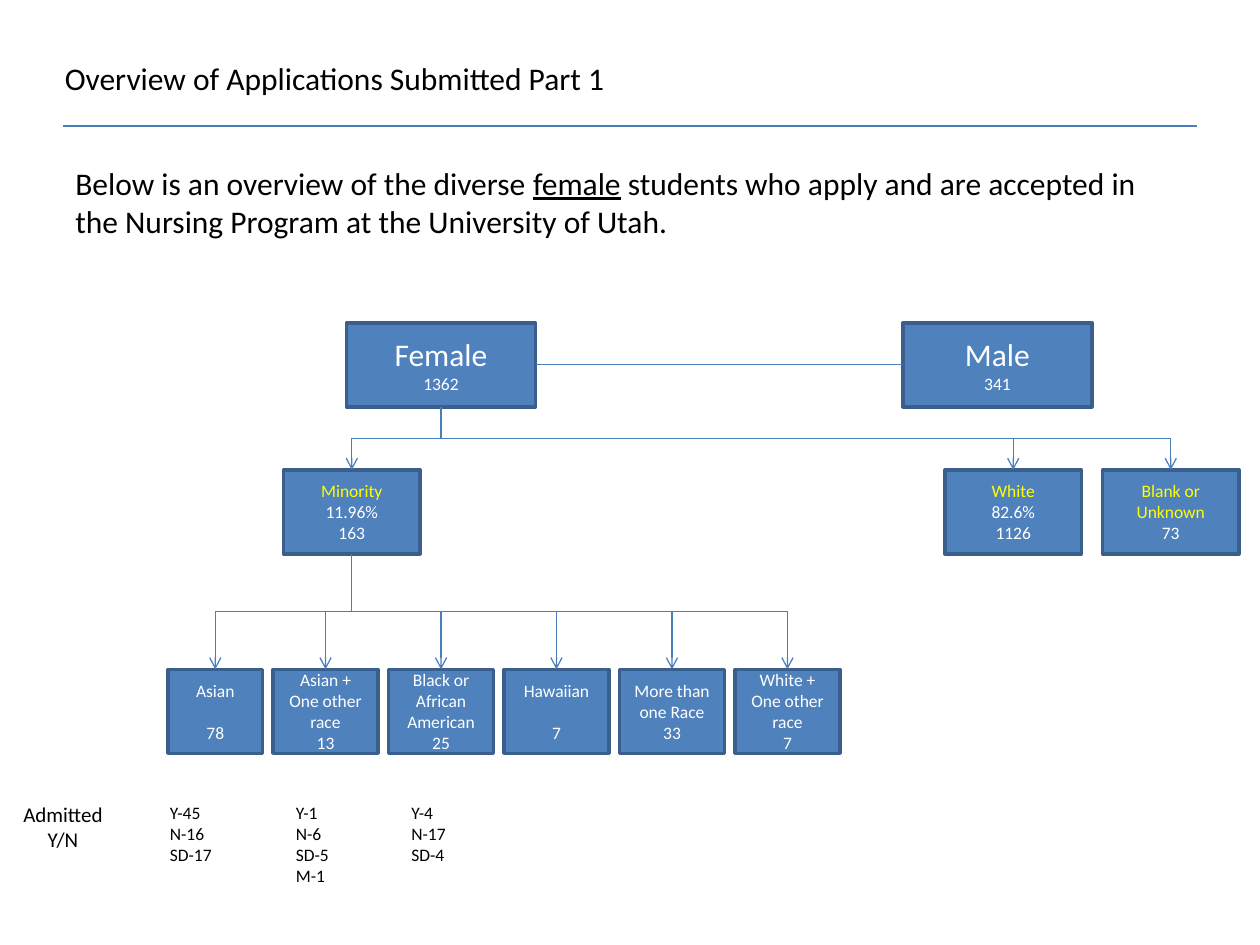
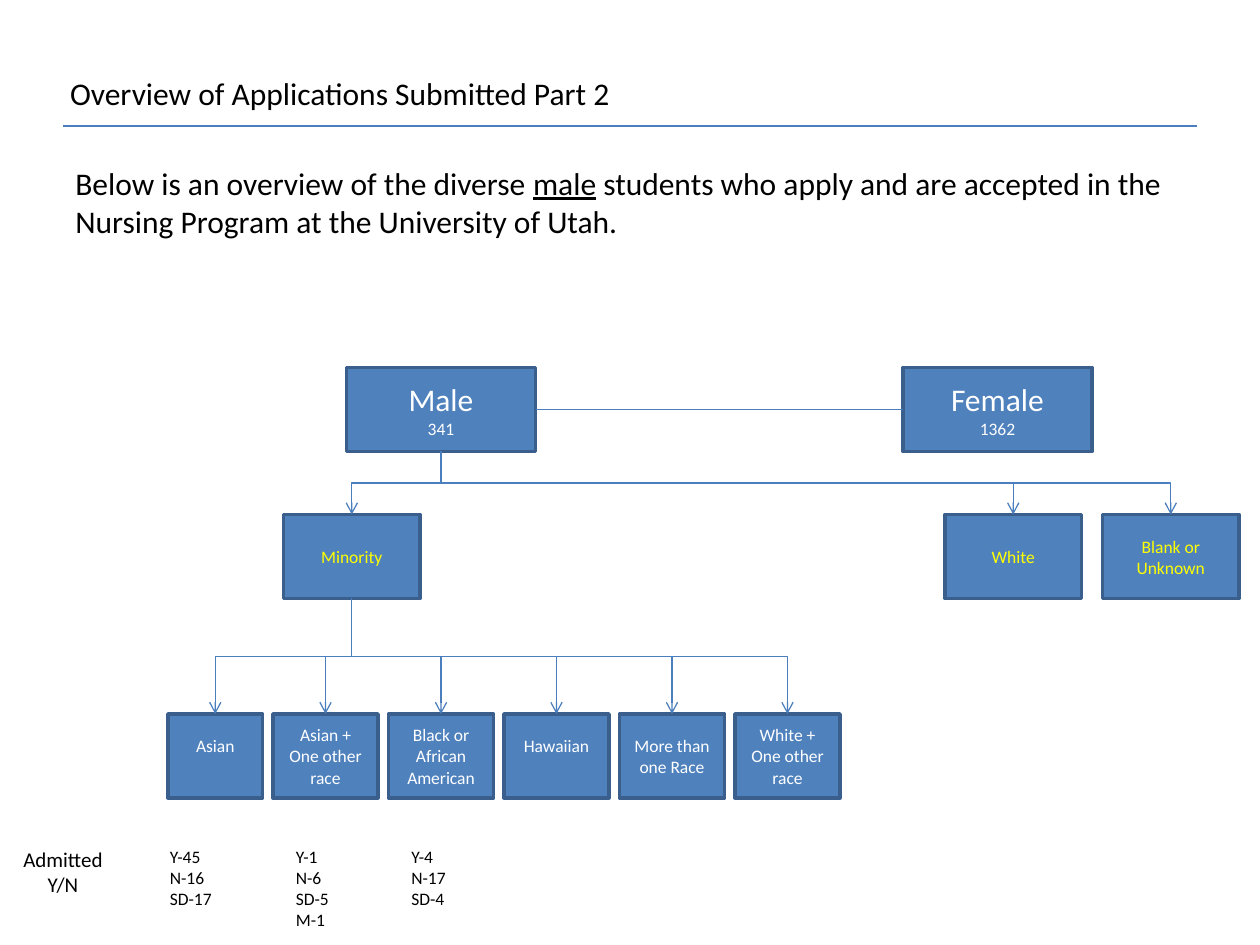
"""Build two slides that chart nursing applications by gender and race."""
from lxml.etree import SubElement
from pptx import Presentation
from pptx.dml.color import RGBColor
from pptx.enum.shapes import MSO_CONNECTOR, MSO_SHAPE
from pptx.enum.text import MSO_ANCHOR, MSO_AUTO_SIZE, PP_ALIGN
from pptx.oxml.ns import qn
from pptx.util import Pt

colour = RGBColor.from_string
BOX_FILL, BOX_EDGE, LINK = "4F81BD", "3A5F8C", "4B7EBC"
WHITE, YELLOW, BLACK = "FFFFFF", "FFFF00", "000000"
BOX_HEIGHT = 48
TOP_SITE, LEFT_SITE, BOTTOM_SITE, RIGHT_SITE = range(4)

LARGE = {"name": "Calibri", "size": Pt(18)}
MEDIUM = {"name": "Calibri", "size": Pt(12)}
SMALL = {"name": "Calibri", "size": Pt(10)}
LABEL_FRAME = {"word_wrap": True, "auto_size": MSO_AUTO_SIZE.SHAPE_TO_FIT_TEXT}
BOX_FRAME = {"word_wrap": True, "vertical_anchor": MSO_ANCHOR.MIDDLE}

GENDER_LEFTS = [198, 516]
GROUPS = [("Minority", 162), ("White", 540), ("Blank or Unknown", 630)]
RACES = ["Asian", "Asian + One other race", "Black or African American",
         "Hawaiian", "More than one Race", "White + One other race"]
ONE_LINE_RACES = ["Asian", "Hawaiian"]
ADMISSIONS = [(90, ["Y-45", "N-16", "SD-17"]),
              (162, ["Y-1", "N-6", "SD-5", "M-1"]),
              (228, ["Y-4", "N-17", "SD-4"])]

PARTS = [
    {"title": "Overview of Applications Submitted Part 1", "title_at": (30, 30),
     "subject": "female", "tree_top": 184.5,
     "genders": [("Female", "1362"), ("Male", "341")],
     "group_counts": [["11.96%", "163"], ["82.6%", "1126"], ["73"]],
     "race_counts": [["78"], ["13"], ["25"], ["7"], ["33"], ["7"]]},
    {"title": "Overview of Applications Submitted Part 2", "title_at": (33, 39),
     "subject": "male", "tree_top": 210,
     "genders": [("Male", "341"), ("Female", "1362")],
     "group_counts": [[]] * len(GROUPS),
     "race_counts": [[]] * len(RACES)},
]


def write(shape, lines, frame_format, align=PP_ALIGN.LEFT):
    for key, value in frame_format.items():
        setattr(shape.text_frame, key, value)
    for number, runs in enumerate(lines):
        frame = shape.text_frame
        paragraph = frame.add_paragraph() if number else frame.paragraphs[0]
        paragraph.alignment = align
        for text, text_colour, font_format in runs:
            run = paragraph.add_run()
            run.text = text
            run.font.color.rgb = colour(text_colour)
            for key, value in font_format.items():
                setattr(run.font, key, value)


def add_box(slide, left, top, width, lines):
    box = slide.shapes.add_shape(MSO_SHAPE.RECTANGLE, Pt(left), Pt(top),
                                 Pt(width), Pt(BOX_HEIGHT))
    box.shadow.inherit = False
    box.fill.solid()
    box.fill.fore_color.rgb = colour(BOX_FILL)
    box.line.color.rgb = colour(BOX_EDGE)
    box.line.width = Pt(2)
    write(box, [[line] for line in lines], BOX_FRAME, PP_ALIGN.CENTER)
    return box


deck = Presentation()
deck.slide_width, deck.slide_height = Pt(720), Pt(540)

for part in PARTS:
    slide = deck.slides.add_slide(deck.slide_layouts[6])
    tree_top = part["tree_top"]
    group_top, race_top, admitted_top = tree_top + 84, tree_top + 198, tree_top + 270

    lead, other = [
        add_box(slide, left, tree_top, 108, [(name, WHITE, LARGE), (count, WHITE, SMALL)])
        for left, (name, count) in zip(GENDER_LEFTS, part["genders"])]

    groups = [
        add_box(slide, left, group_top, 78,
                [(name, YELLOW, SMALL)] + [(count, WHITE, SMALL) for count in counts])
        for (name, left), counts in zip(GROUPS, part["group_counts"])]

    races = []
    for column, (name, counts) in enumerate(zip(RACES, part["race_counts"])):
        left, width = (90 + 66 * column, 60) if column else (96, 54)
        race = add_box(slide, left, race_top, width,
                       [(text, WHITE, SMALL) for text in [name, *counts]])
        if name in ONE_LINE_RACES:
            if counts:
                race.text_frame.paragraphs[1].space_before = Pt(12)
            else:
                race.text_frame.margin_bottom = Pt(15.6)
        races.append(race)

    title_rule = slide.shapes.add_connector(
        MSO_CONNECTOR.STRAIGHT, Pt(36), Pt(72), Pt(684), Pt(72))
    gender_link = slide.shapes.add_connector(MSO_CONNECTOR.STRAIGHT, 0, 0, 0, 0)
    gender_link.begin_connect(lead, RIGHT_SITE)
    gender_link.end_connect(other, LEFT_SITE)

    branches = []
    for parent, children in [(lead, groups), (groups[0], races)]:
        for child in children:
            start_x = parent.left + parent.width // 2
            start_y = parent.top + parent.height
            across = child.left + child.width // 2 - start_x
            down = child.top - start_y
            branch = slide.shapes.add_connector(MSO_CONNECTOR.ELBOW, 0, 0, 0, 0)
            branch.begin_connect(parent, BOTTOM_SITE)
            branch.end_connect(child, TOP_SITE)
            branch.left = start_x + (across - down) // 2
            branch.top = start_y + (down - abs(across)) // 2
            branch.width, branch.height = down, abs(across)
            turn = {"rot": "16200000" if across > 0 else "5400000",
                    "flipH": "1" if across > 0 else "0", "flipV": "0"}
            for key, value in turn.items():
                branch.element.spPr.find(qn("a:xfrm")).set(key, value)
            branches.append(branch)

    for link in [title_rule, gender_link, *branches]:
        link.line.color.rgb = colour(LINK)
        link.line.width = Pt(0.75)
        if link in branches:
            SubElement(link.line._get_or_add_ln(), qn("a:tailEnd"), type="arrow")
        SubElement(link.element.spPr, qn("a:effectLst"))

    intro = [("Below is an overview of the diverse ", BLACK, LARGE),
             (part["subject"], BLACK, {**LARGE, "underline": True}),
             (" students who apply and are accepted in the Nursing Program "
              "at the University of Utah.", BLACK, LARGE)]
    labels = [
        (*part["title_at"], 366, 30, [[(part["title"], BLACK, LARGE)]], PP_ALIGN.LEFT),
        (36, 90, 648, 51, [intro], PP_ALIGN.LEFT),
        (0, admitted_top, 72, 36, [[("Admitted Y/N", BLACK, MEDIUM)]], PP_ALIGN.CENTER)]
    for left, decisions in ADMISSIONS:
        labels.append((left, admitted_top, 48, 7.5 + 12 * len(decisions),
                       [[(text, BLACK, SMALL)] for text in decisions], PP_ALIGN.LEFT))
    for left, top, width, height, lines, align in labels:
        label = slide.shapes.add_textbox(Pt(left), Pt(top), Pt(width), Pt(height))
        write(label, lines, LABEL_FRAME, align)

deck.save("out.pptx")
